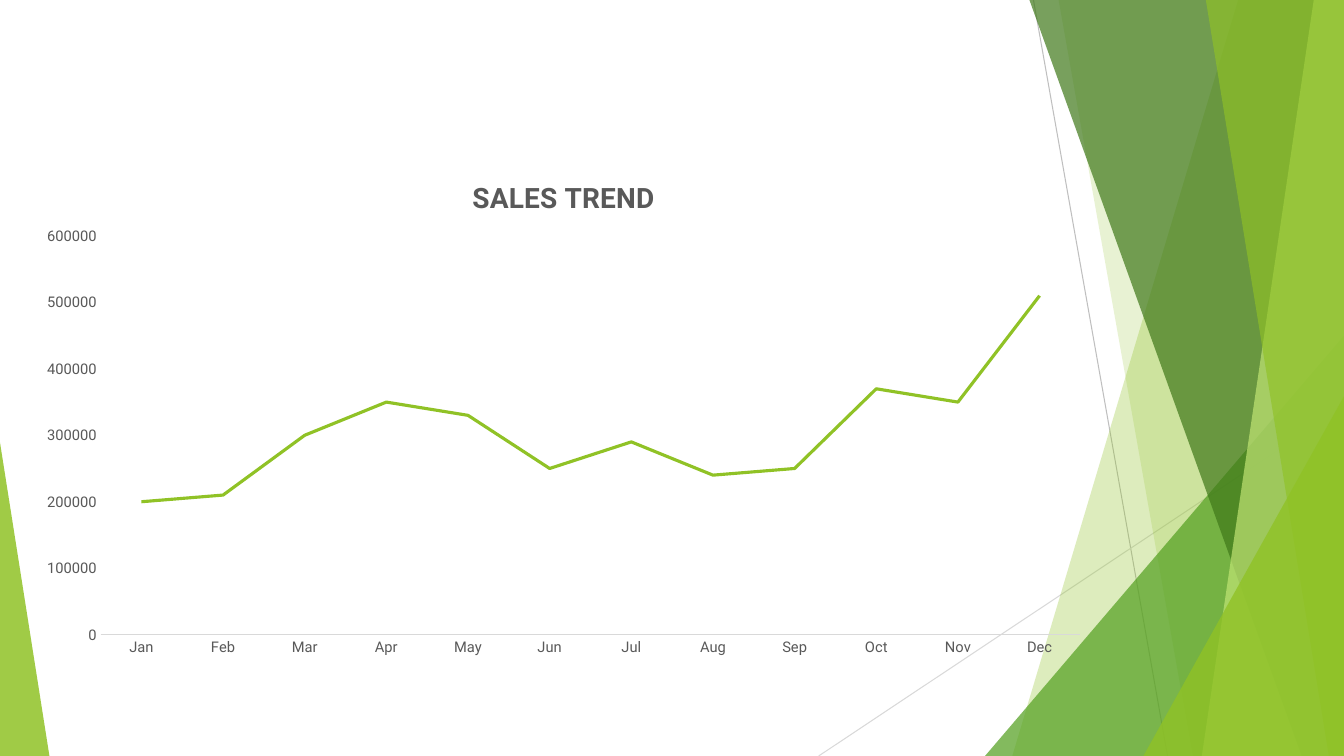
from lxml import etree
from pptx import Presentation
from pptx.chart.data import CategoryChartData
from pptx.dml.color import RGBColor
from pptx.enum.chart import XL_CHART_TYPE, XL_MARKER_STYLE, XL_TICK_MARK
from pptx.enum.shapes import MSO_CONNECTOR, MSO_SHAPE
from pptx.oxml import parse_xml
from pptx.oxml.ns import nsdecls, qn
from pptx.util import Inches, Pt

LINE = XL_CHART_TYPE.LINE
NO_MARK = XL_MARKER_STYLE.NONE
NO_TICK = XL_TICK_MARK.NONE
STRAIGHT = MSO_CONNECTOR.STRAIGHT
WEDGE = MSO_SHAPE.ISOSCELES_TRIANGLE

WIDE, HIGH = 13.33, 7.5
GREEN, GREY, PALE = "90C226", "595959", "D9D9D9"
MONTHS = "Jan Feb Mar Apr May Jun Jul Aug Sep Oct Nov Dec".split()
SALES = [200000, 210000, 300000, 350000, 330000, 250000,
         290000, 240000, 250000, 370000, 350000, 510000]


def color(code):
    """Turn a hex string into a colour."""
    return RGBColor.from_string(code)


class Deck:
    """Hold the style and the current slide."""

    def __init__(self, font):
        """Start a deck with one blank slide."""
        self.font = font
        self.show = Presentation()
        self.show.slide_width = Inches(WIDE)
        self.show.slide_height = Inches(HIGH)
        self.slide = self.show.slides.add_slide(self.show.slide_layouts[6])
        self.shapes = self.slide.shapes

    def paint(self, shape, code, alpha):
        """Fill a shape with a see-through colour."""
        shape.shadow.inherit = False
        shape.line.fill.background()
        shape.fill.solid()
        shape.fill.fore_color.rgb = color(code)
        tint = next(shape.element.spPr.iter(qn("a:srgbClr")))
        etree.SubElement(tint, qn("a:alpha")).set("val", str(alpha * 1000))

    def line(self, start, end, code):
        """Draw a thin straight line."""
        ends = [Inches(n) for n in (*start, *end)]
        link = self.shapes.add_connector(STRAIGHT, *ends)
        link.line.color.rgb = color(code)
        link.line.width = Pt(0.75)
        etree.SubElement(link.element.spPr, qn("a:effectLst"))

    def band(self, top, foot, code, alpha):
        """Draw a slanted band that reaches the right edge."""
        spots = [(top, 0), (WIDE, 0), (WIDE, HIGH), (foot, HIGH)]
        spots = [(Inches(x), Inches(y)) for x, y in spots]
        pen = self.shapes.build_freeform(*spots[0])
        pen.add_line_segments(spots[1:])
        self.paint(pen.convert_to_shape(), code, alpha)

    def wedge(self, left, top, width, tip, code, alpha):
        """Draw a triangle that stands on the bottom edge."""
        box = [Inches(n) for n in (left, top, width, HIGH - top)]
        shape = self.shapes.add_shape(WEDGE, *box)
        shape.adjustments[0] = tip
        self.paint(shape, code, alpha)

    def style(self, font, size, bold=False):
        """Set the look of chart text."""
        font.name = self.font
        font.size = Pt(size)
        font.bold = bold
        font.color.rgb = color(GREY)

    def chart(self, box, title, names, label, values):
        """Draw a line chart with a title."""
        data = CategoryChartData()
        data.categories = names
        data.add_series(label, values)
        frame = self.shapes.add_chart(LINE, *[Inches(n) for n in box], data)
        chart = frame.chart
        self.style(chart.font, 10)
        chart.has_legend = False
        chart.has_title = True
        run = chart.chart_title.text_frame.paragraphs[0].add_run()
        run.text = title
        self.style(run.font, 20, True)
        chart.chart_title.include_in_layout = False
        for axis in (chart.category_axis, chart.value_axis):
            axis.has_major_gridlines = False
            axis.major_tick_mark = axis.minor_tick_mark = NO_TICK
            self.style(axis.tick_labels.font, 10.5)
        base = chart.category_axis.format.line
        base.color.rgb = color(PALE)
        base.width = Pt(0.75)
        scale = chart.value_axis
        scale.format.line.fill.background()
        scale.minimum_scale, scale.maximum_scale = 0, 600000
        scale.major_unit = 100000
        scale.tick_labels.number_format = "0"
        scale.tick_labels.number_format_is_linked = False
        chart.plots[0].vary_by_categories = False
        trend = chart.plots[0].series[0]
        trend.smooth = False
        trend.marker.style = NO_MARK
        trend.format.line.color.rgb = color(GREEN)
        trend.format.line.width = Pt(2.25)
        self.place(chart, x=0.07, y=0.153, w=0.91, h=0.785)

    def place(self, chart, **area):
        """Fix the plot area and clear the chart's background."""
        root = chart.element.find(qn("c:chart"))
        root.addnext(parse_xml(
            f'<c:spPr {nsdecls("c", "a")}><a:noFill/>'
            '<a:ln><a:noFill/></a:ln></c:spPr>'))
        plot = root.find(qn("c:plotArea"))
        for old in plot.findall(qn("c:layout")):
            plot.remove(old)
        rules = {"layoutTarget": "inner", "xMode": "edge", "yMode": "edge"}
        rules.update(area)
        body = "".join(f'<c:{k} val="{v}"/>' for k, v in rules.items())
        plot.insert(0, parse_xml(
            f'<c:layout {nsdecls("c")}><c:manualLayout>{body}'
            '</c:manualLayout></c:layout>'))


def main():
    """Build the sales slide."""
    deck = Deck("Roboto")
    deck.line((10.25, 0), (11.58, HIGH), "BFBFBF")
    deck.line((WIDE, 4.03), (8.12, HIGH), PALE)
    deck.band(12.28, 10.04, GREEN, 30)
    deck.band(10.5, 11.83, GREEN, 20)
    deck.wedge(9.77, 3.33, 3.56, 1, "54A021", 72)
    deck.band(10.21, 12.91, "3F7819", 70)
    deck.band(13.03, 11.92, "C0E474", 70)
    deck.band(11.96, 13.18, GREEN, 65)
    deck.wedge(11.34, 3.93, 1.99, 1, GREEN, 80)
    deck.wedge(0, 4.39, 0.49, 0, GREEN, 85)
    deck.chart((0.25, 1.57, 10.68, 5.04), "SALES TREND", MONTHS,
               "Series 1", SALES)
    deck.show.save("out.pptx")


if __name__ == "__main__":
    main()
